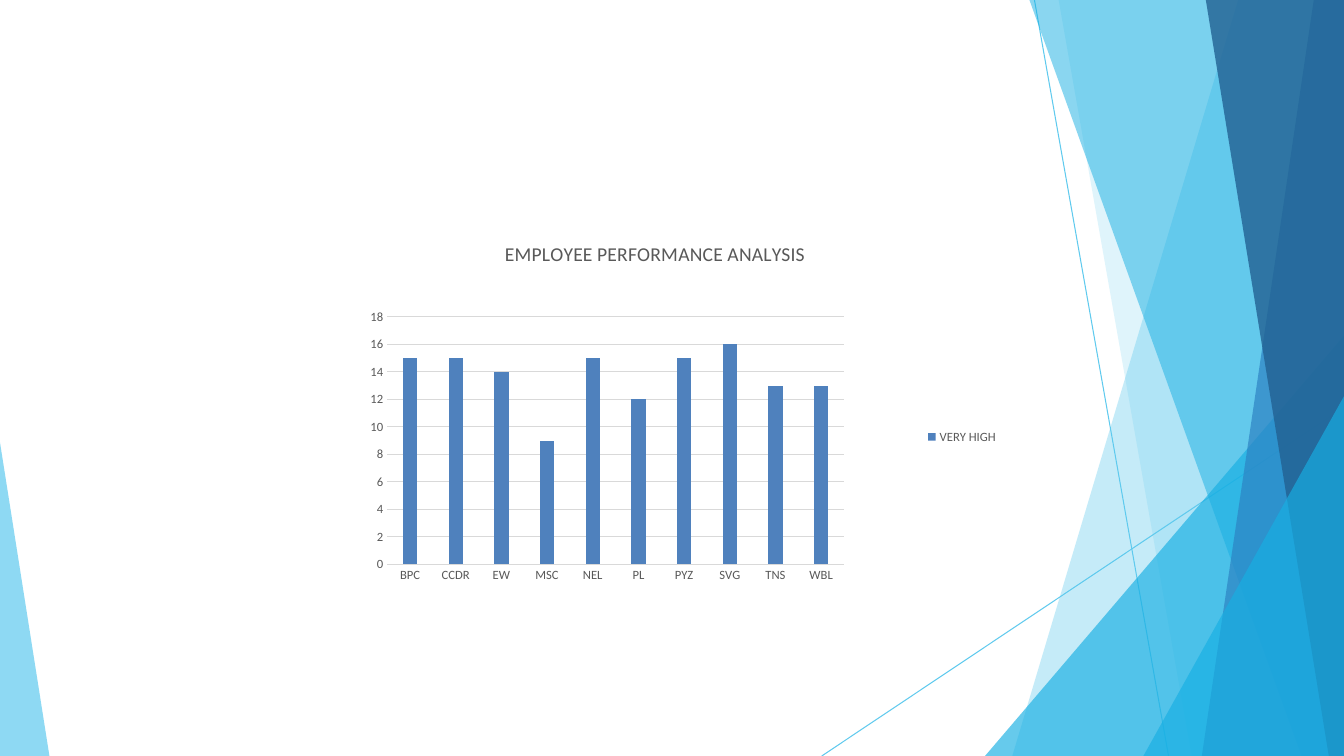
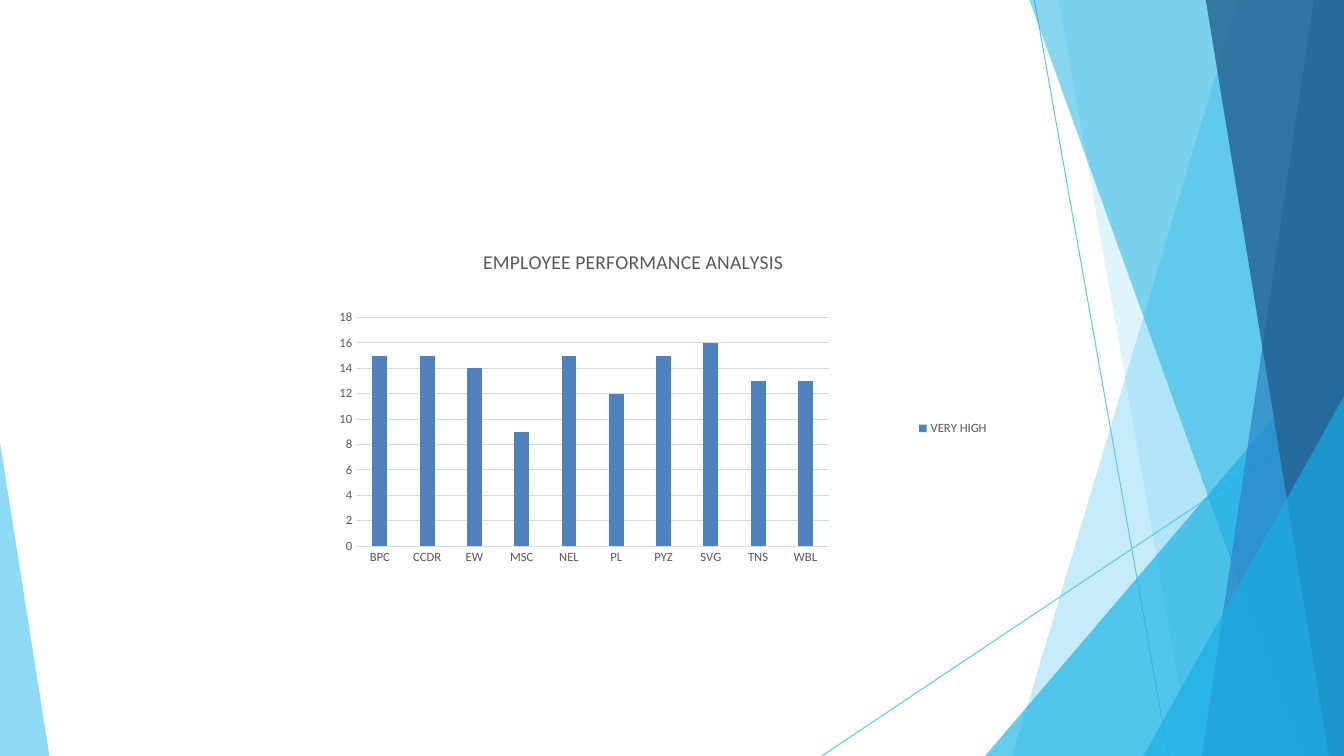
import pptx
import pptx.chart.data
import pptx.dml.color
import pptx.enum.chart
import pptx.enum.shapes
import pptx.oxml.ns
import pptx.util
from lxml import etree

Inches = pptx.util.Inches
Pt = pptx.util.Pt
qn = pptx.oxml.ns.qn

SLIDE_SIZE = (13.33, 7.5)
FONT = "Calibri"
COLORS = {
    "sky": "5FCAEE",
    "cyan": "17AFE3",
    "blue": "2D83C3",
    "navy": "226192",
    "bar": "4F81BD",
    "text": "595959",
    "grid": "D9D9D9",
}

RAYS = [((10.26, 0), (11.59, 7.5)), ((13.33, 4.04), (8.15, 7.5))]
FACETS = [
    (12.28, 0, 10.04, "sky", 36),
    (10.5, 0, 11.82, "sky", 20),
    (13.33, 3.33, 9.77, "cyan", 66),
    (10.21, 0, 12.91, "cyan", 50),
    (13.03, 0, 11.92, "blue", 70),
    (11.96, 0, 13.18, "navy", 80),
    (13.33, 3.93, 11.34, "cyan", 66),
]

TITLE = "EMPLOYEE PERFORMANCE ANALYSIS"
TITLE_WIDTH = 2.98
TITLE_TOP = 0.18
RATING = "VERY HIGH"
EMPLOYEES = {
    "BPC": 15, "CCDR": 15, "EW": 14, "MSC": 9, "NEL": 15,
    "PL": 12, "PYZ": 15, "SVG": 16, "TNS": 13, "WBL": 13,
}
CHART_BOXES = [(2.92, 2.17, 7.08, 4.33), (2.58, 2.25, 7.33, 4)]


def rgb(name):
    return pptx.dml.color.RGBColor.from_string(COLORS[name])


def style_font(font, size):
    font.name = FONT
    font.size = Pt(size)
    font.bold = False
    font.color.rgb = rgb("text")


def style_line(line, color):
    line.color.rgb = rgb(color)
    line.width = Pt(0.75)


def add_ray(slide, origin, start, end):
    left, top = origin
    ray = slide.shapes.add_connector(
        pptx.enum.shapes.MSO_CONNECTOR.STRAIGHT,
        Inches(left + start[0]), Inches(top + start[1]),
        Inches(left + end[0]), Inches(top + end[1]),
    )
    style_line(ray.line, "sky")
    etree.SubElement(ray.element.spPr, qn("a:effectLst"))
    return ray


def add_facet(slide, origin, points, color, opacity):
    corners = [(Inches(origin[0] + x), Inches(origin[1] + y)) for x, y in points]
    builder = slide.shapes.build_freeform(*corners[0])
    builder.add_line_segments(corners[1:], close=True)
    facet = builder.convert_to_shape()
    facet.shadow.inherit = False
    facet.line.fill.background()
    facet.fill.solid()
    facet.fill.fore_color.rgb = rgb(color)
    tint = facet.element.spPr.find(".//" + qn("a:srgbClr"))
    etree.SubElement(tint, qn("a:alpha"), val=str(opacity * 1000))
    return facet


def add_backdrop(slide, layout, box):
    left, top, width, height = box
    origin = (left, top)
    pieces = [add_ray(slide, origin, start, end) for start, end in RAYS]
    for edge, peak, base, color, opacity in FACETS:
        points = [(width, peak), (edge, peak), (base, height), (width, height)]
        pieces.append(add_facet(slide, origin, points, color, opacity))
    corner = [(0, 4.39), (0, height), (0.49, height)]
    pieces.append(add_facet(slide, origin, corner, "sky", 70))

    for placeholder in list(layout.placeholders):
        layout.shapes.element.remove(placeholder.element)
    for piece in pieces:
        layout.shapes.element.append(piece.element)


def set_layout(parent, index, **settings):
    for stale in parent.findall(qn("c:layout")):
        parent.remove(stale)
    layout = etree.SubElement(parent, qn("c:layout"))
    manual = etree.SubElement(layout, qn("c:manualLayout"))
    for tag, value in settings.items():
        etree.SubElement(manual, qn("c:" + tag), val=str(value))
    parent.insert(index, layout)


def style_axes(chart):
    for axis in (chart.category_axis, chart.value_axis):
        axis.major_tick_mark = pptx.enum.chart.XL_TICK_MARK.NONE
        axis.minor_tick_mark = pptx.enum.chart.XL_TICK_MARK.NONE
        style_font(axis.tick_labels.font, 9)
    style_line(chart.category_axis.format.line, "grid")
    scores = chart.value_axis
    scores.minimum_scale = 0
    scores.maximum_scale = 18
    scores.major_unit = 2
    scores.format.line.fill.background()
    style_line(scores.major_gridlines.format.line, "grid")


def add_performance_chart(slide, box):
    width, height = box[2:]
    data = pptx.chart.data.CategoryChartData()
    data.categories = list(EMPLOYEES)
    data.add_series(RATING, list(EMPLOYEES.values()))
    chart = slide.shapes.add_chart(
        pptx.enum.chart.XL_CHART_TYPE.COLUMN_CLUSTERED,
        *map(Inches, box), data,
    ).chart
    style_font(chart.font, 10)

    chart.has_title = True
    heading = chart.chart_title.text_frame
    heading.text = TITLE
    style_font(heading.paragraphs[0].font, 14)
    set_layout(
        chart.chart_title.element, 1, xMode="edge", yMode="edge",
        x=round((width - TITLE_WIDTH) / 2 / width, 3),
        y=round(TITLE_TOP / height, 3),
    )

    chart.has_legend = True
    chart.legend.position = pptx.enum.chart.XL_LEGEND_POSITION.RIGHT
    chart.legend.include_in_layout = False
    style_font(chart.legend.font, 9)
    style_axes(chart)

    columns = chart.plots[0]
    columns.vary_by_categories = False
    columns.gap_width = 219
    columns.overlap = -27
    scores = columns.series[0]
    scores.format.fill.solid()
    scores.format.fill.fore_color.rgb = rgb("bar")
    set_layout(
        chart.element.find(".//" + qn("c:plotArea")), 0,
        layoutTarget="inner", xMode="edge", yMode="edge",
        x=0.13, y=0.225, w=0.64, h=0.567,
    )


def main():
    deck = pptx.Presentation()
    deck.slide_width, deck.slide_height = map(Inches, SLIDE_SIZE)
    blank = deck.slide_layouts[6]
    slides = [deck.slides.add_slide(blank) for _ in CHART_BOXES]
    add_backdrop(slides[0], blank, (0, 0, *SLIDE_SIZE))
    for slide, box in zip(slides, CHART_BOXES):
        add_performance_chart(slide, box)
    deck.save("out.pptx")


if __name__ == "__main__":
    main()
